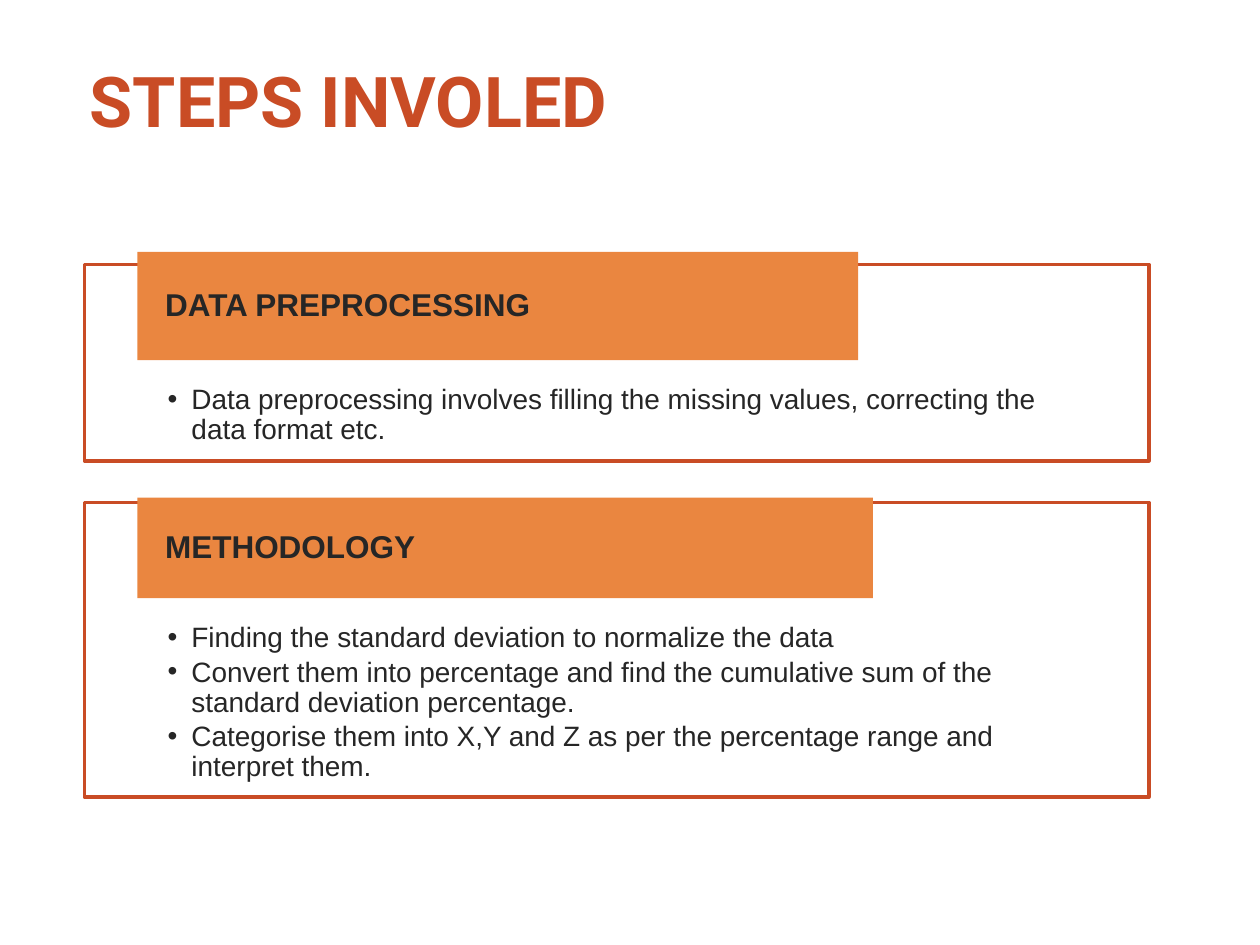
"""Build the slide that lists the two steps of the work in framed panels."""
from dataclasses import dataclass

import lxml.etree
import pptx
import pptx.dml.color
import pptx.enum.shapes
import pptx.enum.text
import pptx.oxml.ns
import pptx.util

Cm = pptx.util.Cm
Pt = pptx.util.Pt


@dataclass(frozen=True)
class Theme:
    accent: str = "C94C25"
    banner: str = "EA8640"
    ink: str = "262626"
    title_font: str = "Roboto"
    body_font: str = "Arial"
    title_size: int = 40
    heading_size: int = 18
    body_size: int = 16
    frame_width: int = 2


@dataclass(frozen=True)
class Step:
    heading: str
    points: tuple[str, ...]
    frame_top: float
    frame_height: float
    banner_top: float
    banner_width: float
    banner_height: float


THEME = Theme()
FRAME_LEFT, FRAME_WIDTH = 1.7, 21.46
BANNER_LEFT = 2.77
STEPS = (
    Step(
        "DATA PREPROCESSING",
        ("Data preprocessing involves filling the missing values, correcting the data format etc.",),
        5.33, 3.96, 5.08, 14.53, 2.18,
    ),
    Step(
        "METHODOLOGY",
        (
            "Finding the standard deviation to normalize the data",
            "Convert them into percentage and find the cumulative sum of the standard deviation percentage.",
            "Categorise them into X,Y and Z as per the percentage range and interpret them.",
        ),
        10.13, 5.94, 10.03, 14.83, 2.03,
    ),
)


def color(value: str) -> pptx.dml.color.RGBColor:
    return pptx.dml.color.RGBColor.from_string(value)


def place(box, left: float, top: float, width: float, height: float) -> None:
    box.left, box.top, box.width, box.height = map(Cm, (left, top, width, height))


def write(box, *texts: str, size: int, ink: str, font: str = THEME.body_font,
          bold: bool = False, middle: bool = True, bullet: bool = False,
          margins: tuple[float, float] = (0, 0), side: float = 0,
          indent: float = 0, hanging: float = 0,
          line_spacing: float = 0.9, space_after: float = 0) -> None:
    frame = box.text_frame
    frame.word_wrap = True
    frame.auto_size = pptx.enum.text.MSO_AUTO_SIZE.NONE
    anchors = pptx.enum.text.MSO_ANCHOR
    frame.vertical_anchor = anchors.MIDDLE if middle else anchors.TOP
    frame.margin_left = frame.margin_right = Cm(side)
    frame.margin_top, frame.margin_bottom = map(Cm, margins)
    for index, text in enumerate(texts):
        para = frame.add_paragraph() if index else frame.paragraphs[0]
        para.alignment = pptx.enum.text.PP_ALIGN.LEFT
        para.line_spacing = line_spacing
        para.space_before, para.space_after = Pt(0), Pt(space_after)
        properties = para._p.get_or_add_pPr()
        properties.set("marL", str(Cm(indent)))
        properties.set("indent", str(-Cm(hanging)))
        if bullet:
            mark = lxml.etree.SubElement(properties, pptx.oxml.ns.qn("a:buChar"))
            mark.set("char", "•")
        span = para.add_run()
        span.text = text
        span.font.name, span.font.size, span.font.bold = font, Pt(size), bold
        span.font.color.rgb = color(ink)


def draw_step(page, box, step: Step) -> None:
    place(box, FRAME_LEFT, step.frame_top, FRAME_WIDTH, step.frame_height)
    box.line.color.rgb = color(THEME.accent)
    box.line.width = Pt(THEME.frame_width)
    write(box, *step.points, size=THEME.body_size, ink=THEME.ink, middle=False,
          bullet=True, margins=(2.44, 0.3), side=1.68, indent=0.48, hanging=0.48,
          space_after=2.4)

    banner = page.shapes.add_shape(
        pptx.enum.shapes.MSO_SHAPE.RECTANGLE, Cm(BANNER_LEFT), Cm(step.banner_top),
        Cm(step.banner_width), Cm(step.banner_height))
    banner.shadow.inherit = False
    banner.fill.solid()
    banner.fill.fore_color.rgb = color(THEME.banner)
    banner.line.fill.background()
    write(banner, step.heading, size=THEME.heading_size, ink=THEME.ink, bold=True, side=0.56)


def main() -> None:
    deck = pptx.Presentation()
    deck.slide_width, deck.slide_height = Cm(25.4), Cm(19.05)
    page = deck.slides.add_slide(deck.slide_layouts.get_by_name("Two Content"))
    title, *bodies = page.placeholders
    place(title, 1.3, 1.07, 12.88, 1.88)
    write(title, "STEPS INVOLED", size=THEME.title_size, ink=THEME.accent,
          font=THEME.title_font, bold=True, margins=(0.13, 0.13), indent=0.51,
          line_spacing=1.0)
    for box, step in zip(bodies, STEPS):
        draw_step(page, box, step)
    deck.save("out.pptx")


if __name__ == "__main__":
    main()
